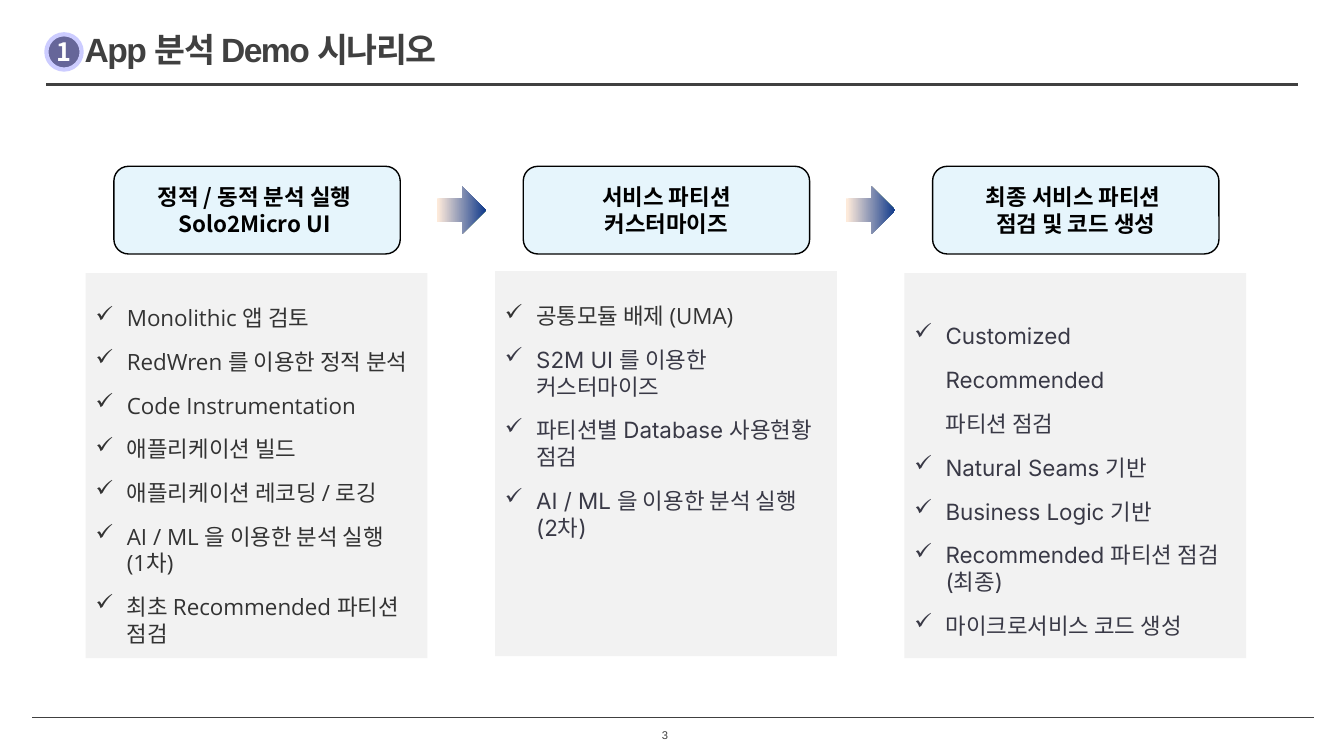
from dataclasses import dataclass

from lxml.etree import SubElement
from pptx import Presentation
from pptx.dml.color import RGBColor
from pptx.enum.shapes import MSO_CONNECTOR, MSO_SHAPE
from pptx.enum.text import MSO_ANCHOR, PP_ALIGN
from pptx.oxml import parse_xml
from pptx.oxml.ns import nsdecls, qn
from pptx.util import Inches, Pt


@dataclass(frozen=True)
class Theme:
    ink: str = "404040"
    black: str = "000000"
    white: str = "FFFFFF"
    step_fill: str = "E6F5FC"
    panel_fill: str = "F2F2F2"
    badge_fill: str = "666699"
    badge_line: str = "CCCCFF"
    arrow_start: str = "FDEADA"
    arrow_end: str = "153D8D"
    body: str = "333333"
    body_alternate: str = "393946"
    korean_font: str = "Noto Sans CJK KR"
    step_font: str = "Noto Sans CJK JP"
    title_size: float = 24
    badge_size: float = 18
    text_size: float = 16
    number_size: float = 8
    text_leading: float = 19.2


THEME = Theme()
OPEN_SANS = ("Open Sans", THEME.body)
INTER = ("Inter", THEME.body_alternate)

# Each column: heading, panel top, items as (text, (font, colour))
COLUMNS = [
    ("정적 / 동적 분석 실행 \nSolo2Micro UI ", 2.71, [
        ("Monolithic 앱 검토", OPEN_SANS),
        ("RedWren 를 이용한 정적 분석", OPEN_SANS),
        ("Code Instrumentation", OPEN_SANS),
        ("애플리케이션 빌드", OPEN_SANS),
        ("애플리케이션 레코딩 / 로깅", OPEN_SANS),
        ("AI / ML 을 이용한 분석 실행\n(1차)", OPEN_SANS),
        ("최초 Recommended 파티션 점검", OPEN_SANS),
    ]),
    ("서비스 파티션\n커스터마이즈", 2.69, [
        ("공통모듈 배제 (UMA)", OPEN_SANS),
        ("S2M UI 를 이용한 \n커스터마이즈", INTER),
        ("파티션별 Database 사용현황 점검", INTER),
        ("AI / ML 을 이용한 분석 실행 \n(2차)", INTER),
    ]),
    ("최종 서비스 파티션 \n점검 및 코드 생성", 2.71, [
        ("Customized Recommended \n파티션 점검", INTER),
        ("Natural Seams 기반", INTER),
        ("Business Logic 기반", INTER),
        ("Recommended 파티션 점검 (최종)", INTER),
        ("마이크로서비스 코드 생성", INTER),
    ]),
]
WIDE_SPACED_ITEM = COLUMNS[2][2][0][0]
COLUMN_LEFT, COLUMN_PITCH, PANEL_WIDTH = 0.85, 4.06, 3.39


def rgb(value):
    return RGBColor.from_string(value)


def set_font(paragraph, name, size, color, bold=False):
    font = paragraph.font
    font.name, font.size, font.bold = name, Pt(size), bold
    font.color.rgb = rgb(color)
    properties = paragraph._p.pPr.find(qn("a:defRPr"))
    east_asian = parse_xml(f'<a:ea {nsdecls("a")} typeface="{THEME.korean_font}"/>')
    properties.find(qn("a:latin")).addnext(east_asian)
    return properties


def set_frame(shape, margins=(0, 0, 0, 0), anchor=MSO_ANCHOR.MIDDLE, wrap=True):
    frame = shape.text_frame
    frame.margin_left, frame.margin_top, frame.margin_right, frame.margin_bottom = map(Inches, margins)
    frame.vertical_anchor, frame.word_wrap = anchor, wrap
    return frame


def add_box(slide, preset, box, fill=None, line=None, line_width=1):
    shape = slide.shapes.add_shape(preset, *map(Inches, box))
    shape.shadow.inherit = False
    if fill:
        shape.fill.solid()
        shape.fill.fore_color.rgb = rgb(fill)
    if line:
        shape.line.color.rgb = rgb(line)
        shape.line.width = Pt(line_width)
    else:
        shape.line.fill.background()
    return shape


def add_rule(slide, left, right, top, width):
    rule = slide.shapes.add_connector(
        MSO_CONNECTOR.STRAIGHT, Inches(left), Inches(top), Inches(right), Inches(top))
    rule.line.color.rgb = rgb(THEME.ink)
    rule.line.width = Pt(width)
    SubElement(rule._element.spPr, qn("a:effectLst"))


def add_header(slide, left, top, width):
    # Title with its underline
    title = slide.shapes.title
    title.left, title.top, title.width, title.height = map(Inches, (left, top, 9.07, 0.4))
    paragraph = set_frame(title, (0.38, 0, 0, 0)).paragraphs[0]
    paragraph.text = "App 분석 Demo 시나리오"
    paragraph.alignment = PP_ALIGN.LEFT
    set_font(paragraph, "Arial", THEME.title_size, THEME.ink, True).set("spc", "-110")
    add_rule(slide, left, left + width, top + 0.55, 2)

    # Number badge
    badge = add_box(slide, MSO_SHAPE.OVAL, (left, top + 0.05, 0.35, 0.35),
                    THEME.badge_fill, THEME.badge_line, 3)
    paragraph = set_frame(badge, wrap=False).paragraphs[0]
    paragraph.text = "1"
    paragraph.alignment = PP_ALIGN.CENTER
    set_font(paragraph, THEME.korean_font, THEME.badge_size, THEME.white, True)


def add_step(slide, heading, left, top):
    step = add_box(slide, MSO_SHAPE.ROUNDED_RECTANGLE, (left, top, 2.84, 0.87),
                   THEME.step_fill, THEME.black)
    paragraph = set_frame(step, wrap=False).paragraphs[0]
    paragraph.text = heading
    paragraph.alignment = PP_ALIGN.CENTER
    paragraph.line_spacing = Pt(THEME.text_leading)
    set_font(paragraph, THEME.step_font, THEME.text_size, THEME.black, True)


def add_arrow(slide, left, top):
    arrow = add_box(slide, MSO_SHAPE.RIGHT_ARROW, (left, top, 0.49, 0.47))
    arrow.fill.gradient()
    arrow.fill.gradient_angle = 0
    stops = ((0.03, THEME.arrow_start), (0.98, THEME.arrow_end))
    for stop, (position, color) in zip(arrow.fill.gradient_stops, stops):
        stop.position = position
        stop.color.rgb = rgb(color)


def add_checklist(slide, items, left, top):
    panel = add_box(slide, MSO_SHAPE.RECTANGLE, (left, top, PANEL_WIDTH, 3.82), THEME.panel_fill)
    frame = set_frame(panel, (0.1, 0.31, 0.1, 0.05), MSO_ANCHOR.TOP)
    for index, (text, (font_name, color)) in enumerate(items):
        paragraph = frame.add_paragraph() if index else frame.paragraphs[0]
        paragraph.text = text
        paragraph.alignment = PP_ALIGN.LEFT
        paragraph.line_spacing = 1.65 if text == WIDE_SPACED_ITEM else Pt(THEME.text_leading)
        paragraph.space_after = Pt(12)
        character_properties = set_font(paragraph, font_name, THEME.text_size, color)
        paragraph_properties = paragraph._p.pPr
        paragraph_properties.set("marL", str(Inches(0.31)))
        paragraph_properties.set("indent", str(-Inches(0.31)))
        character_properties.addprevious(parse_xml(f'<a:buChar {nsdecls("a")} char="✓"/>'))


def add_footer(slide, left, top, width):
    add_rule(slide, left, left + width, top, 0.5)
    number = slide.shapes.add_textbox(*map(Inches, (left + 6.02, top + 0.11, 0.48, 0.13)))
    paragraph = set_frame(number).paragraphs[0]
    paragraph.text = " 3"
    paragraph.alignment = PP_ALIGN.CENTER
    set_font(paragraph, "Arial", THEME.number_size, THEME.ink)


def main():
    presentation = Presentation()
    presentation.slide_width, presentation.slide_height = Inches(13.33), Inches(7.5)
    slide = presentation.slides.add_slide(presentation.slide_layouts[5])
    add_header(slide, 0.46, 0.29, 12.41)
    for index, (heading, panel_top, items) in enumerate(COLUMNS):
        left = COLUMN_LEFT + index * COLUMN_PITCH
        add_step(slide, heading, left + 0.28, 1.65)
        add_checklist(slide, items, left, panel_top)
        if index < len(COLUMNS) - 1:
            add_arrow(slide, left + 3.48, 1.85)
    add_footer(slide, 0.32, 7.12, 12.71)
    presentation.save("out.pptx")


if __name__ == "__main__":
    main()
